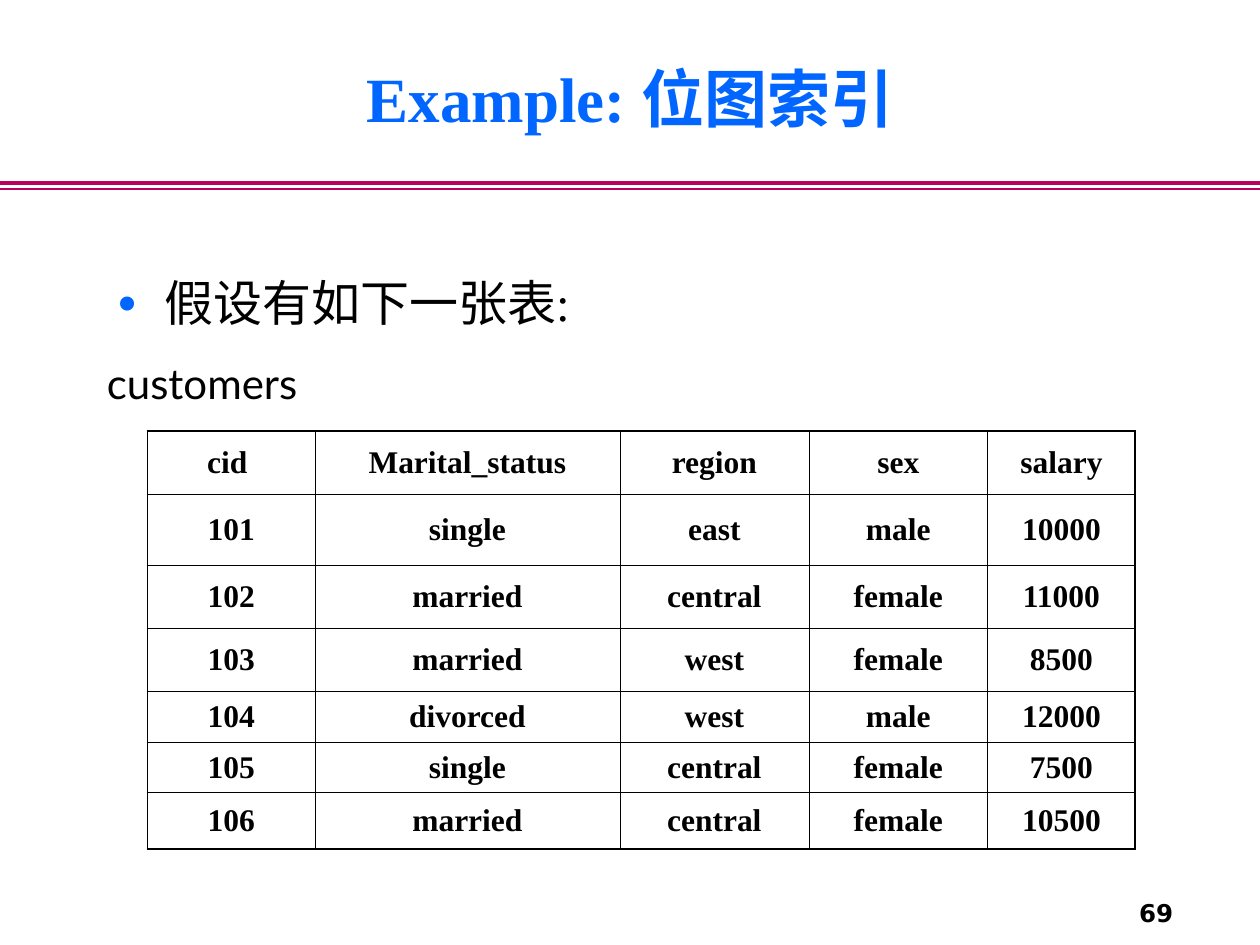
"""Build the bitmap index example slide with its customers table."""
from dataclasses import dataclass

from lxml.etree import SubElement
from pptx import Presentation
from pptx.dml.color import RGBColor
from pptx.enum.shapes import MSO_CONNECTOR
from pptx.enum.text import MSO_ANCHOR as Anchor, MSO_AUTO_SIZE as AutoSize, PP_ALIGN as Align
from pptx.oxml.ns import qn
from pptx.util import Inches, Pt

COLORS = {"title": "0066FF", "rule": "BA005D", "text": "000000"}
SERIF = "Times New Roman"
COL_WIDTHS = [1.33, 2.42, 1.5, 1.42, 1.17]
ROW_HEIGHTS = [0.5, 0.57, 0.5, 0.5, 0.4, 0.4, 0.45]
CUSTOMERS = [
    ["cid ", "Marital_status", "region", "sex", "salary"],
    ["101", "single", "east", "male", "10000"],
    ["102", "married", "central", "female", "11000"],
    ["103", "married", "west", "female", "8500"],
    ["104", "divorced", "west", "male", "12000"],
    ["105", "single", "central", "female", "7500"],
    ["106", "married", "central", "female", "10500"],
]


@dataclass
class Style:
    size: float
    font: str = SERIF
    color: str = "text"
    bold: bool = False
    align: Align = Align.LEFT


@dataclass
class Label:
    text: str
    box: tuple
    style: Style
    anchor: Anchor = Anchor.TOP
    wrap: bool = False


@dataclass
class Rule:
    y: float
    width: float


RULES = [Rule(1.45, 2.25), Rule(1.5, 1)]
TITLE = Label("Example: 位图索引", (0.75, 0.15, 8.5, 1.25),
              Style(36, color="title", bold=True, align=Align.CENTER), Anchor.MIDDLE, True)
BULLET = Label("假设有如下一张表:", (0.83, 2.17, 8.5, 0.58), Style(28), wrap=True)
TABLE_NAME = Label("customers", (0.75, 2.79, 1.84, 0.5), Style(24, "Lato"))
PAGE_NUMBER = Label("69", (8.83, 7.08, 0.58, 0.33),
                    Style(14, "DejaVu Sans", bold=True, align=Align.RIGHT), Anchor.MIDDLE)
CELL_STYLE = Style(18, bold=True, align=Align.CENTER)


def write(tf, text: str, style: Style):
    """Add one styled run to the first paragraph and return the paragraph."""
    p = tf.paragraphs[0]
    p.alignment = style.align
    r = p.add_run()
    r.text = text
    r.font.size = Pt(style.size)
    r.font.name = style.font
    r.font.bold = style.bold
    r.font.color.rgb = RGBColor.from_string(COLORS[style.color])
    return p


def fill_label(sp, label: Label):
    """Place a text shape, write its label and return the paragraph."""
    sp.left, sp.top, sp.width, sp.height = map(Inches, label.box)
    tf = sp.text_frame
    tf.auto_size = AutoSize.NONE
    tf.word_wrap = label.wrap
    tf.vertical_anchor = label.anchor
    return write(tf, label.text, label.style)


def add_label(slide, label: Label):
    """Add a text box for a label and return its paragraph."""
    return fill_label(slide.shapes.add_textbox(*map(Inches, label.box)), label)


def add_rule(slide, rule: Rule) -> None:
    """Draw a horizontal rule across the slide."""
    y = Inches(rule.y)
    line = slide.shapes.add_connector(MSO_CONNECTOR.STRAIGHT, 0, y, Inches(10), y)
    line.line.color.rgb = RGBColor.from_string(COLORS["rule"])
    line.line.width = Pt(rule.width)
    SubElement(line._element.spPr, qn("a:effectLst"))


def add_bullet(p) -> None:
    """Give a paragraph a coloured hanging bullet."""
    p.line_spacing = 0.9
    p.space_before = Pt(7)
    pPr = p._p.get_or_add_pPr()
    pPr.set("marL", str(Inches(0.38)))
    pPr.set("indent", str(-Inches(0.38)))
    color = SubElement(pPr, qn("a:buClr"))
    SubElement(color, qn("a:srgbClr"), val=COLORS["title"])
    SubElement(pPr, qn("a:buSzPct"), val="120000")
    SubElement(pPr, qn("a:buFont"), typeface=SERIF)
    SubElement(pPr, qn("a:buChar"), char="•")


def add_border(cell, side: str, outer: bool) -> None:
    """Draw one cell border, heavier on the table's outer edge."""
    width = Pt(1.08 if outer else 0.45)
    ln = SubElement(cell._tc.get_or_add_tcPr(), qn(f"a:ln{side}"), w=str(width))
    fill = SubElement(ln, qn("a:solidFill"))
    SubElement(fill, qn("a:srgbClr"), val=COLORS["text"])


def add_customers(slide) -> None:
    """Add the customers table."""
    n_rows, n_cols = len(ROW_HEIGHTS), len(COL_WIDTHS)
    box = (1.17, 3.42, sum(COL_WIDTHS), sum(ROW_HEIGHTS))
    table = slide.shapes.add_table(n_rows, n_cols, *map(Inches, box)).table
    table.first_row = table.horz_banding = False
    for col, width in zip(table.columns, COL_WIDTHS):
        col.width = Inches(width)
    for i, (row, height) in enumerate(zip(table.rows, ROW_HEIGHTS)):
        row.height = Inches(height)
        for j, cell in enumerate(row.cells):
            p = write(cell.text_frame, CUSTOMERS[i][j], CELL_STYLE)
            p.space_before = Pt(4.5)
            cell.vertical_anchor = Anchor.MIDDLE
            edges = {"L": j == 0, "R": j == n_cols - 1, "T": i == 0, "B": i == n_rows - 1}
            for side, outer in edges.items():
                add_border(cell, side, outer)
            cell.fill.background()


def main() -> None:
    """Build and save the slide."""
    prs = Presentation()
    prs.slide_width, prs.slide_height = Inches(10), Inches(7.5)
    slide = prs.slides.add_slide(prs.slide_layouts[5])
    for rule in RULES:
        add_rule(slide, rule)
    add_label(slide, PAGE_NUMBER)
    fill_label(slide.shapes.title, TITLE)
    add_bullet(add_label(slide, BULLET))
    add_label(slide, TABLE_NAME)
    add_customers(slide)
    prs.save("out.pptx")


if __name__ == "__main__":
    main()
